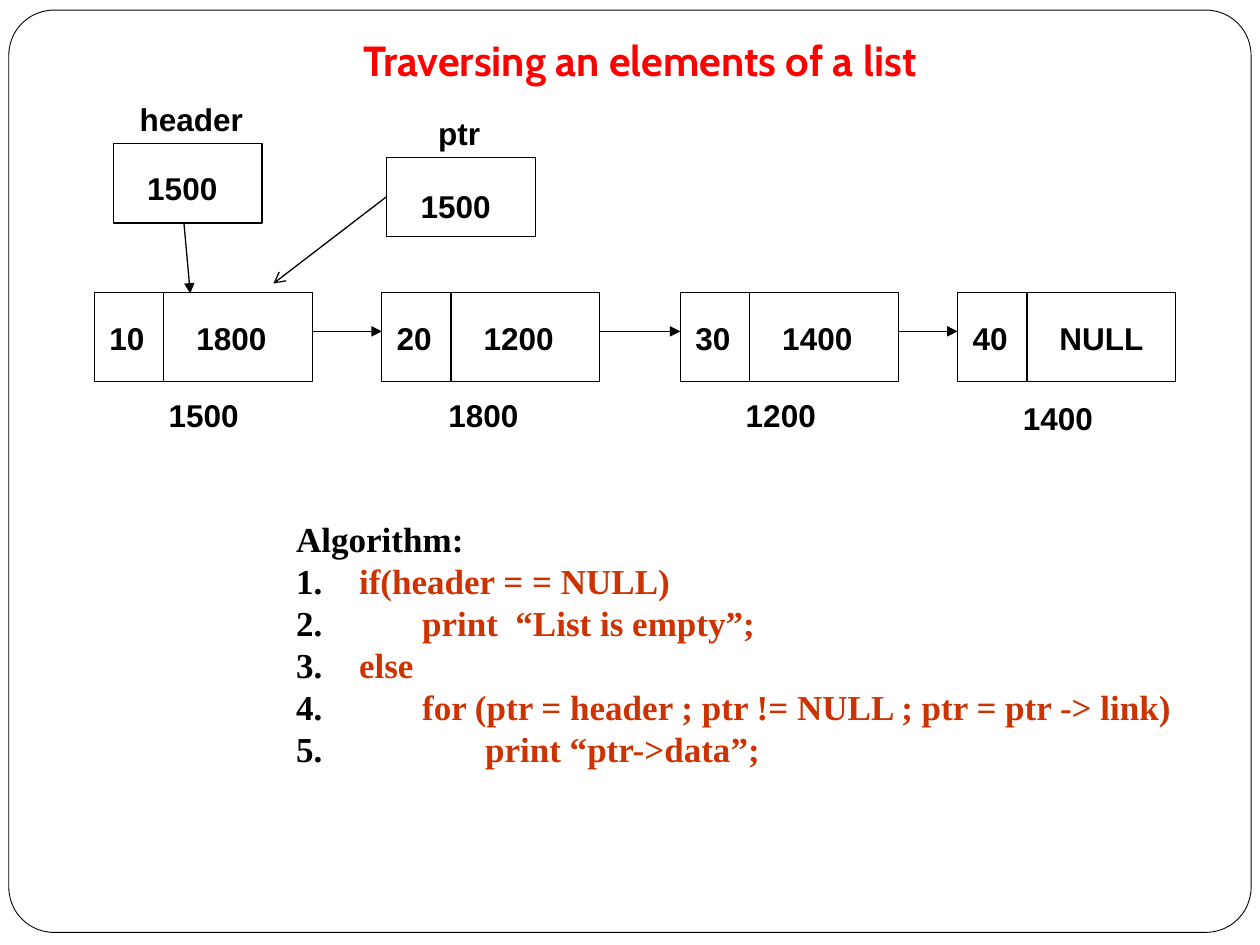
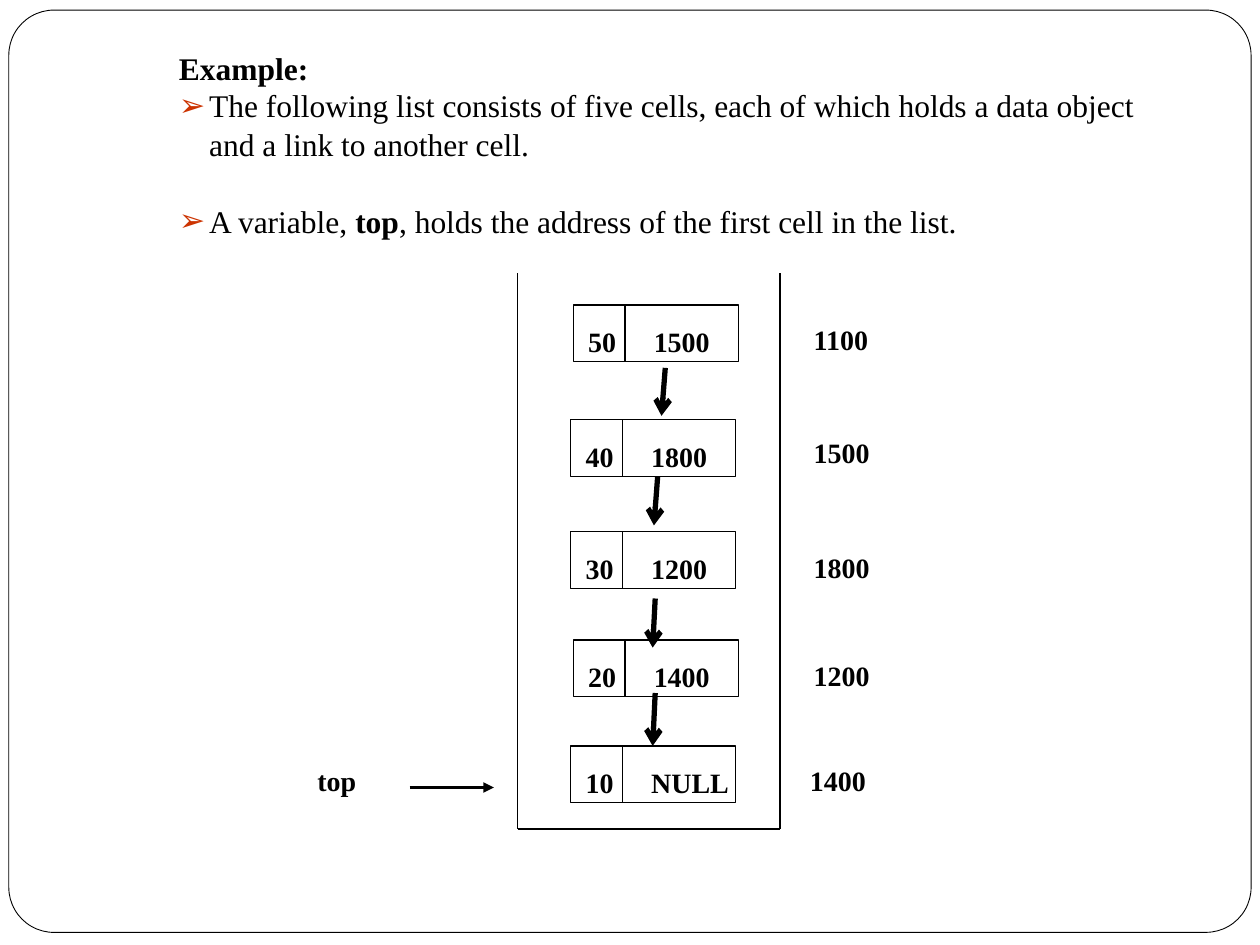
import dataclasses
import itertools

import lxml.etree
import pptx
import pptx.dml.color
import pptx.enum.shapes
import pptx.enum.text
import pptx.oxml.ns
import pptx.util

SHAPE = pptx.enum.shapes.MSO_SHAPE
ANCHOR = pptx.enum.text.MSO_ANCHOR
ALIGN = pptx.enum.text.PP_ALIGN
qn = pptx.oxml.ns.qn


@dataclasses.dataclass(frozen=True)
class Theme:
    black: str = "000000"
    white: str = "FFFFFF"
    red: str = "FF0000"
    rust: str = "CC3300"
    title_font: str = "Cabin"
    sans: str = "Arial"
    serif: str = "Times New Roman"
    title_size: int = 24
    code_size: int = 20
    body_size: int = 18
    small_size: int = 16
    leading: float = 1.2
    thin: float = 0.75
    frame: float = 0.5


@dataclasses.dataclass(frozen=True)
class NodeStyle:
    w: int
    h: int
    split: int
    link_dx: int
    text_dy: int
    font: str
    size: int


def px(n):
    return pptx.util.Emu(n * 9144)


def rgb(colour):
    return pptx.dml.color.RGBColor.from_string(colour)


class Deck:
    def __init__(self, theme):
        self.t = theme
        self.prs = pptx.Presentation()
        self.prs.slide_width, self.prs.slide_height = px(1000), px(750)
        self.s = None

    def slide(self):
        self.s = self.prs.slides.add_slide(self.prs.slide_layouts[1])
        frame = self.box(7, 8, 986, 732, SHAPE.ROUNDED_RECTANGLE, self.t.frame)
        frame.adjustments[0] = 0.049
        frame.fill.background()

    def box(self, x, y, w, h, kind=SHAPE.RECTANGLE, width=None):
        sp = self.s.shapes.add_shape(kind, px(x), px(y), px(w), px(h))
        sp.shadow.inherit = False
        sp.fill.solid()
        sp.fill.fore_color.rgb = rgb(self.t.white)
        sp.line.color.rgb = rgb(self.t.black)
        sp.line.width = pptx.util.Pt(width or self.t.thin)
        return sp

    def line(self, x1, y1, x2, y2, width=None, head=None):
        c = self.s.shapes.add_connector(
            pptx.enum.shapes.MSO_CONNECTOR.STRAIGHT, px(x1), px(y1), px(x2), px(y2))
        c.line.color.rgb = rgb(self.t.black)
        c.line.width = pptx.util.Pt(width or self.t.thin)
        spPr = c.element.spPr
        if head:
            lxml.etree.SubElement(spPr.find(qn("a:ln")), qn("a:tailEnd"), type=head)
        lxml.etree.SubElement(spPr, qn("a:effectLst"))

    def run(self, p, text, font, size, colour, bold=True):
        r = p.add_run()
        r.text = text
        r.font.name = font
        r.font.size = pptx.util.Pt(size)
        r.font.bold = bold
        r.font.color.rgb = rgb(colour)
        p.line_spacing = pptx.util.Pt(round(size * self.t.leading))

    def label(self, x, y, text, font, size, w=95):
        tf = self.s.shapes.add_textbox(px(x), px(y), px(w), px(40)).text_frame
        tf.word_wrap = True
        self.run(tf.paragraphs[0], text, font, size, self.t.black)

    def node(self, x, y, data, link, style):
        self.box(x, y, style.w, style.h)
        self.line(x + style.split, y, x + style.split, y + style.h)
        self.label(x + 2, y + style.text_dy, data, style.font, style.size, 52)
        self.label(x + style.link_dx, y + style.text_dy, link, style.font, style.size)

    def place(self, sp, x, y, w, h, anchor=ANCHOR.TOP):
        sp.left, sp.top, sp.width, sp.height = px(x), px(y), px(w), px(h)
        tf = sp.text_frame
        tf.auto_size = pptx.enum.text.MSO_AUTO_SIZE.NONE
        tf.word_wrap = True
        tf.vertical_anchor = anchor
        return tf

    def title(self, area, text, font, size, colour, align, anchor):
        p = self.place(self.s.shapes.title, *area, anchor).paragraphs[0]
        p.alignment = align
        self.run(p, text, font, size, colour)

    def body(self, *area):
        return self.place(self.s.placeholders[1], *area)

    def paragraph(self, tf, first, runs, font, size, colour, before=0):
        p = tf.paragraphs[0] if first else tf.add_paragraph()
        p.space_before = pptx.util.Pt(before)
        for text, bold in runs:
            self.run(p, text, font, size, colour, bold)
        return p

    def bullet(self, p, indent, colour, tag, **attrs):
        pPr = p._p.get_or_add_pPr()
        pPr.set("marL", str(px(indent)))
        pPr.set("indent", str(px(-indent)))
        if colour:
            clr = lxml.etree.SubElement(pPr, qn("a:buClr"))
            lxml.etree.SubElement(clr, qn("a:srgbClr"), val=colour)
        lxml.etree.SubElement(pPr, qn(tag), **attrs)


def traversal_slide(d):
    t = d.t
    d.slide()
    d.title((83, 19, 850, 56), "Traversing an elements of a list",
            t.title_font, t.title_size, t.red, ALIGN.CENTER, ANCHOR.MIDDLE)

    style = NodeStyle(173, 71, 55, 71, 16, t.sans, t.body_size)
    nodes = [(75, "10", "1800"), (303, "20", "1200"),
             (540, "30", "1400"), (760, "40", "NULL")]
    for x, data, link in nodes:
        d.node(x, 232, data, link, style)
    for (x, *_), (following, *_) in itertools.pairwise(nodes):
        d.line(x + style.w, 263, following, 263, head="triangle")
    for x, y, address in [(124, 309, "1500"), (346, 309, "1800"),
                          (582, 309, "1200"), (802, 311, "1400")]:
        d.label(x, y, address, t.sans, t.body_size)

    for x, y, name, name_x, value_x, value_y in [
            (90, 114, "header", 101, 107, 129), (307, 125, "ptr", 338, 324, 143)]:
        d.box(x, y, 118, 63)
        d.label(name_x, y - 40, name, t.sans, t.body_size, 110)
        d.label(value_x, value_y, "1500", t.sans, t.body_size)
    d.line(146, 177, 151, 233, head="triangle")
    d.line(307, 156, 217, 225, head="arrow")

    tf = d.body(225, 406, 720, 244)
    p = d.paragraph(tf, True, [("Algorithm:", True)], t.serif, t.code_size, t.black)
    d.bullet(p, 0, None, "a:buNone")
    for depth, code in [
            (1, "if(header = = NULL)"),
            (2, "print  “List is empty”;"),
            (1, "else"),
            (2, "for (ptr = header ; ptr != NULL ; ptr = ptr -> link)"),
            (3, "print “ptr->data”;")]:
        p = d.paragraph(tf, False, [(code, True)], t.serif, t.code_size, t.rust)
        d.bullet(p, 50 * depth, t.black, "a:buAutoNum", type="arabicPeriod")


def stack_slide(d):
    t = d.t
    d.slide()
    d.title((132, 33, 780, 32), "Example:",
            t.serif, t.body_size, t.black, ALIGN.LEFT, ANCHOR.TOP)
    tf = d.body(132, 63, 784, 160)
    facts = [
        [("The following list consists of five cells, each of which holds "
          "a data object and a link to another cell.", False)],
        [("A variable, ", False), ("top", True),
         (", holds the address of the first cell in the list.", False)]]
    for i, runs in enumerate(facts):
        p = d.paragraph(tf, i == 0, runs, t.serif, t.body_size, t.black, 22 * i)
        d.bullet(p, 24, t.rust, "a:buChar", char="➢")

    for wall in [(411, 217, 411, 658), (411, 658, 619, 658), (619, 217, 619, 658)]:
        d.line(*wall)
    style = NodeStyle(131, 45, 41, 54, 11, t.serif, t.small_size)
    for x, y, data, link, address_x, address_y, address in [
            (455, 242, "50", "1500", 636, 251, "1100"),
            (453, 333, "40", "1800", 636, 341, "1500"),
            (453, 422, "30", "1200", 636, 432, "1800"),
            (455, 508, "20", "1400", 636, 518, "1200"),
            (453, 592, "10", "NULL", 633, 601, "1400")]:
        d.node(x, y, data, link, style)
        d.label(address_x, address_y, address, t.serif, t.small_size)
    for link_arrow in [(528, 292, 525, 330), (522, 378, 519, 417),
                       (520, 475, 518, 514), (520, 550, 518, 592)]:
        d.line(*link_arrow, width=3, head="arrow")
    d.label(242, 601, "top", t.serif, t.small_size)
    d.line(325, 625, 392, 625, width=2, head="triangle")


def main():
    d = Deck(Theme())
    traversal_slide(d)
    stack_slide(d)
    d.prs.save("out.pptx")


if __name__ == "__main__":
    main()
